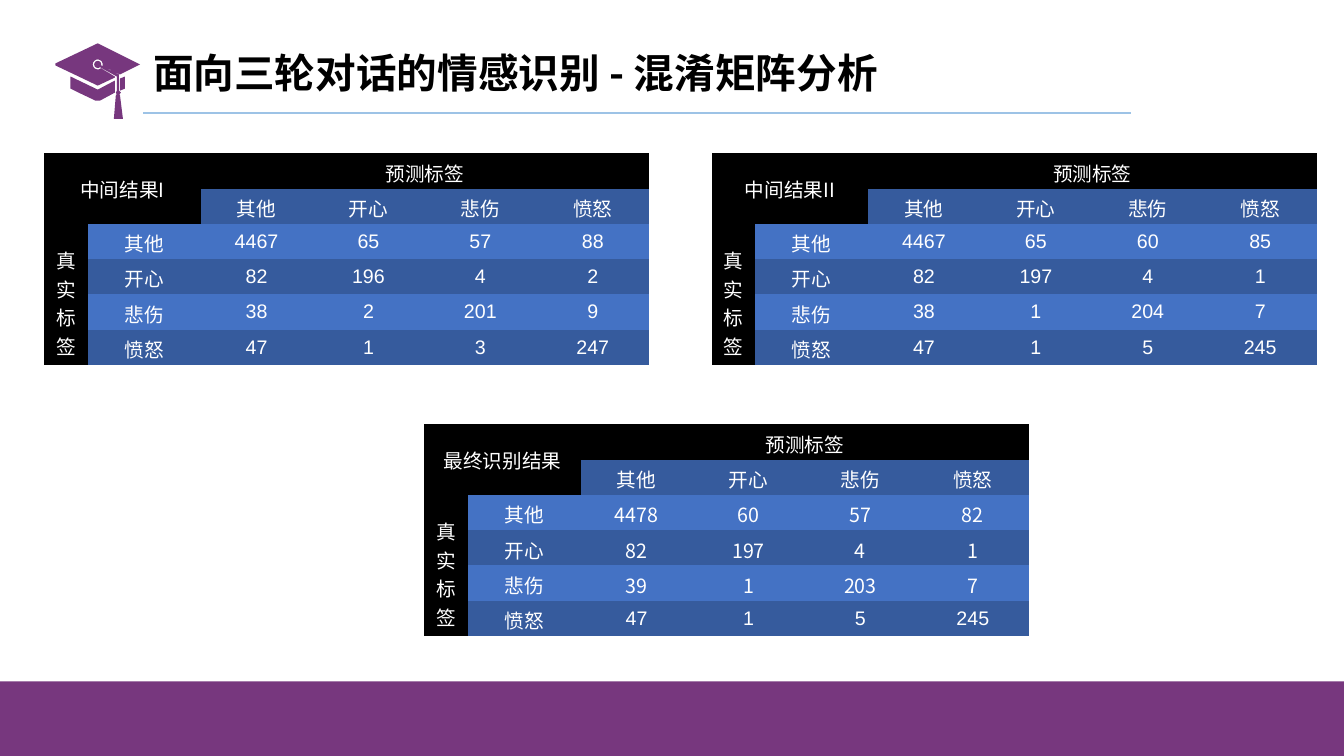
from math import cos, radians, sin

from lxml.etree import SubElement
from pptx import Presentation
from pptx.dml.color import RGBColor
from pptx.enum.shapes import MSO_CONNECTOR, MSO_SHAPE
from pptx.enum.text import MSO_ANCHOR, PP_ALIGN
from pptx.oxml.ns import qn
from pptx.util import Inches, Pt

COLORS = {
    "purple": "77377E",
    "rule": "9DC3E6",
    "black": "000000",
    "white": "FFFFFF",
    "dark": "365B9D",
    "light": "4472C4",
}
NOTO = "Noto Sans CJK SC"
LABELS = ["其他", "开心", "悲伤", "愤怒"]


def color(name):
    return RGBColor.from_string(COLORS[name])


def write_text(frame, text, size=14, font=NOTO, fill="white", bold=False,
               align=PP_ALIGN.CENTER, spacing=None):
    paragraph = frame.paragraphs[0]
    paragraph.alignment = align
    paragraph.line_spacing = spacing
    run = paragraph.add_run()
    run.text = text
    run.font.size = Pt(size)
    run.font.bold = bold
    run.font.name = font
    run.font.color.rgb = color(fill)
    SubElement(run.font._element, qn("a:ea")).set("typeface", NOTO)


presentation = Presentation()
presentation.slide_width = Inches(13.33)
presentation.slide_height = Inches(7.5)
slide = presentation.slides.add_slide(presentation.slide_layouts[6])

title = slide.shapes.add_textbox(Inches(1.42), Inches(0.37), Inches(10.42), Inches(0.75))
title.text_frame.word_wrap = True
title.text_frame.vertical_anchor = MSO_ANCHOR.MIDDLE
write_text(title.text_frame, "面向三轮对话的情感识别 - 混淆矩阵分析", size=29, fill="black",
           bold=True, align=PP_ALIGN.LEFT, spacing=0.9)

button_arcs = {}
for radius in (0.035, 0.05):
    button_arcs[radius] = [
        (0.97 + radius * cos(radians(angle)), 0.64 + radius * sin(radians(angle)))
        for angle in range(50, 376, 25)
    ]
cap_outlines = [
    [(1.19, 0.9), (1.24, 0.88), (1.24, 0.76), (1.19, 0.78)],
    [(0.7, 0.76), (0.7, 0.88), (0.78, 0.92), (0.95, 1), (0.99, 1), (1.14, 0.92),
     (1.14, 0.8), (0.97, 0.89)],
    [(1.16, 0.76), (1.18, 0.75), (1.18, 0.74), *reversed(button_arcs[0.035])],
    [(1.39, 0.64), (0.97, 0.43), (0.55, 0.63), (0.55, 0.65), (0.97, 0.85), (1.14, 0.77),
     (1.14, 0.76), *button_arcs[0.05], (1.19, 0.74)],
    [(1.18, 0.75), (1.18, 0.9), (1.2, 0.92), (1.18, 0.94), (1.19, 0.94), (1.22, 1.18),
     (1.13, 1.18), (1.15, 0.94), (1.16, 0.94), (1.15, 0.92), (1.16, 0.9), (1.16, 0.76)],
]
cap_builder = None
for outline in cap_outlines:
    points = [(round(x * 1000), round(y * 1000)) for x, y in outline]
    if cap_builder is None:
        cap_builder = slide.shapes.build_freeform(*points[0], scale=Inches(0.001))
    else:
        cap_builder.move_to(*points[0])
    cap_builder.add_line_segments(points[1:], close=True)
cap = cap_builder.convert_to_shape()

rule = slide.shapes.add_connector(
    MSO_CONNECTOR.STRAIGHT, Inches(1.42), Inches(1.12), Inches(11.22), Inches(1.12))
rule.line.color.rgb = color("rule")
rule.line.width = Pt(1.5)
SubElement(rule._element.spPr, qn("a:effectLst"))

matrices = [
    ("中间结果I", 0.44, 1.52, ["Arial"] * 4,
     [[4467, 65, 57, 88], [82, 196, 4, 2], [38, 2, 201, 9], [47, 1, 3, 247]]),
    ("中间结果II", 7.06, 1.52, ["Arial"] * 4,
     [[4467, 65, 60, 85], [82, 197, 4, 1], [38, 1, 204, 7], [47, 1, 5, 245]]),
    ("最终识别结果", 4.21, 4.21, [NOTO, NOTO, NOTO, "Arial"],
     [[4478, 60, 57, 82], [82, 197, 4, 1], [39, 1, 203, 7], [47, 1, 5, 245]]),
]
for name, left, top, number_fonts, counts in matrices:
    frame = slide.shapes.add_table(6, 6, Inches(left), Inches(top), Inches(6), Inches(2.11))
    table = frame.table
    table.first_row = table.horz_banding = False
    table._tbl.tblPr.find(qn("a:tableStyleId")).text = "{2D5ABB26-0587-4C30-8999-92F81FD0307C}"
    for column, width in zip(table.columns, [0.43, 1.12, 1.11, 1.11, 1.11, 1.12]):
        column.width = Inches(width)
    for row in table.rows:
        row.height = Inches(0.35)

    table.cell(0, 0).merge(table.cell(1, 1))
    table.cell(0, 2).merge(table.cell(0, 5))
    table.cell(2, 0).merge(table.cell(5, 0))
    texts = {(0, 0): name, (0, 2): "预测标签", (2, 0): "真实标签"}
    for index, label in enumerate(LABELS):
        texts[1, index + 2] = texts[index + 2, 0 + 1] = label
        for offset, count in enumerate(counts[index]):
            texts[index + 2, offset + 2] = str(count)

    for row in range(6):
        for column in range(6):
            cell = table.cell(row, column)
            header = row == 0 or column == 0 or (row, column) == (1, 1)
            fill = "black" if header else "dark" if row % 2 else "light"
            cell.fill.solid()
            cell.fill.fore_color.rgb = color(fill)
            cell.vertical_anchor = MSO_ANCHOR.MIDDLE
            if (row, column) in texts:
                text = texts[row, column]
                font = number_fonts[row - 2] if text.isdigit() else NOTO
                write_text(cell.text_frame, text, font="Arial" if text == "其他" else font)

    side_cell = table.cell(2, 0)
    side_cell.vertical_anchor = MSO_ANCHOR.BOTTOM
    side_cell._tc.get_or_add_tcPr().set("vert", "eaVert")

footer = slide.shapes.add_shape(
    MSO_SHAPE.RECTANGLE, Inches(0), Inches(6.76), Inches(13.33), Inches(0.74))
for shape in (cap, footer):
    shape.shadow.inherit = False
    shape.fill.solid()
    shape.fill.fore_color.rgb = color("purple")
    shape.line.fill.background()

presentation.save("out.pptx")
